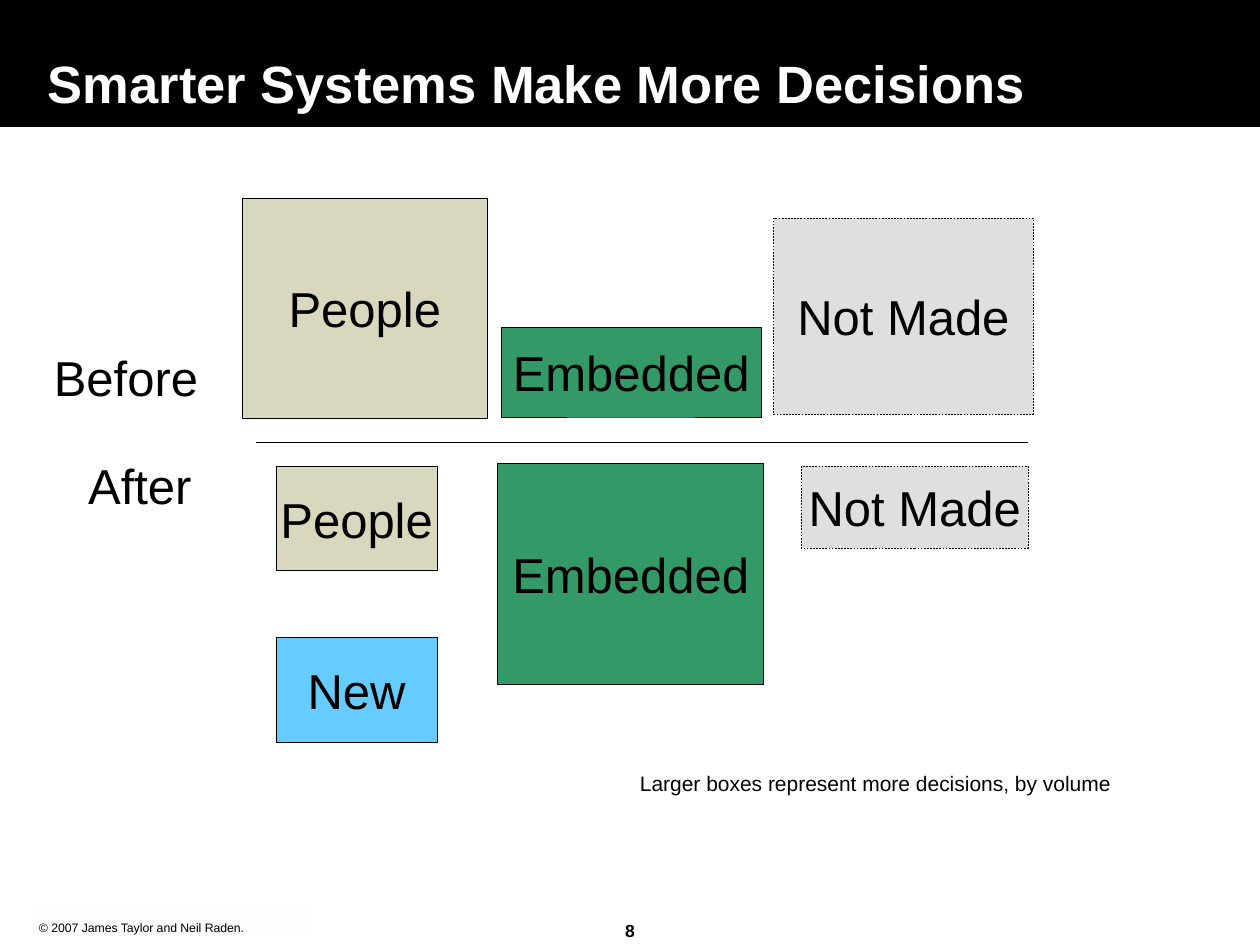
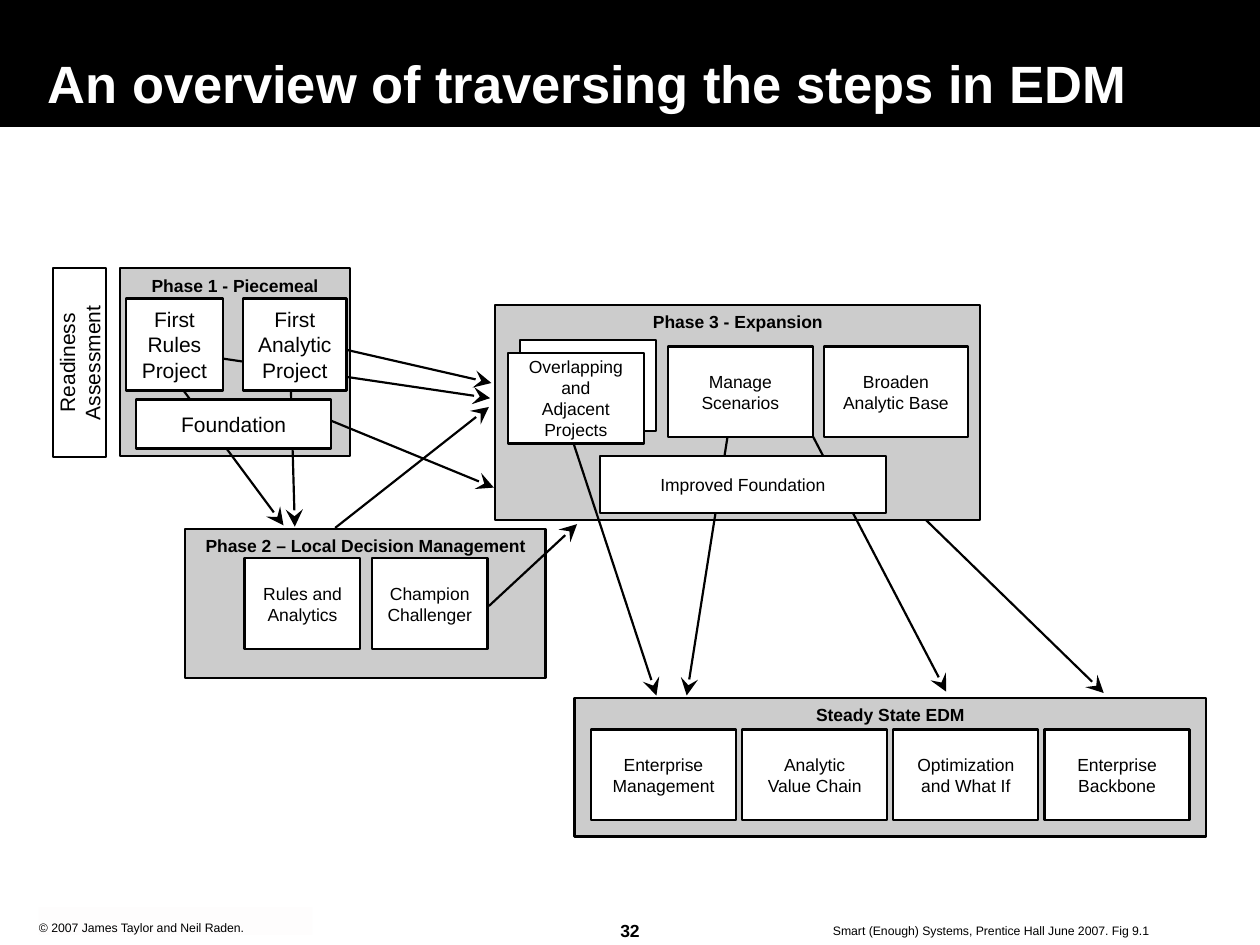
from copy import deepcopy

from lxml.etree import SubElement
from pptx import Presentation
from pptx.dml.color import RGBColor
from pptx.enum.dml import MSO_LINE
from pptx.enum.shapes import MSO_CONNECTOR, MSO_SHAPE
from pptx.enum.text import MSO_ANCHOR, MSO_AUTO_SIZE, PP_ALIGN
from pptx.oxml.ns import qn
from pptx.util import Pt

PX = 9144  # EMU per px, 100 px to the inch
BLACK = RGBColor(0x00, 0x00, 0x00)
WHITE = RGBColor(0xFF, 0xFF, 0xFF)
SAND = RGBColor(0xD9, 0xD8, 0xBE)
GREEN = RGBColor(0x33, 0x99, 0x66)
BLUE = RGBColor(0x66, 0xCC, 0xFF)
SILVER = RGBColor(0xC0, 0xC0, 0xC0)
GRAY = RGBColor(0xCC, 0xCC, 0xCC)
CREAM = RGBColor(0xF7, 0xF5, 0xEF)
HAIRLINE, OUTLINE = 0.25, 1.25


def set_values(target, values):
    for name, value in values.items():
        setattr(target, name, value)


def px(*lengths):
    return [length * PX for length in lengths]


class SlideBuilder:
    """Holds the deck, its style and the page being drawn."""

    font_name = "Arial"

    def __init__(self):
        self.deck = Presentation()
        set_values(self.deck, {"slide_width": 1000 * PX, "slide_height": 750 * PX})
        self.page = None

    def add_page(self, title, number):
        self.page = self.deck.slides.add_slide(self.deck.slide_layouts[5])
        self.box((0, 0, 1000, 100), BLACK, width=0.75)
        heading = self.page.shapes.title
        bounds = zip(("left", "top", "width", "height"), px(33, 0, 925, 95))
        set_values(heading, dict(bounds))
        self.fill_text(heading, title, 30, color=WHITE, bold=True, align=PP_ALIGN.LEFT,
                       anchor=MSO_ANCHOR.BOTTOM, insets=(5, 5), line_spacing=0.8)
        self.page.shapes._spTree.append(heading._element)  # bring above the band
        self.label((461, 730, 78, 31), str(number), 10, bold=True, insets=(0, 0))
        self.box((31, 720, 217, 22), CREAM, "© 2007 James Taylor and Neil Raden.", 7,
                 width=None, opacity=10, align=PP_ALIGN.LEFT,
                 anchor=MSO_ANCHOR.BOTTOM, insets=(0, 0))

    def fill_text(self, shape, text, size, color=BLACK, bold=False,
                  align=PP_ALIGN.CENTER, anchor=MSO_ANCHOR.MIDDLE, insets=(10, 5),
                  wrap=True, line_spacing=1.0):
        across, down = px(*insets)
        frame = shape.text_frame
        set_values(frame, {
            "word_wrap": wrap, "auto_size": MSO_AUTO_SIZE.NONE, "vertical_anchor": anchor,
            "margin_left": across, "margin_right": across,
            "margin_top": down, "margin_bottom": down})
        para = frame.paragraphs[0]
        para.text = text
        set_values(para, {"alignment": align, "line_spacing": line_spacing,
                          "space_before": Pt(0)})
        for span in para.runs:
            set_values(span.font, {"name": self.font_name, "size": Pt(size), "bold": bold})
            span.font.color.rgb = color
        for line_break in para._p.findall(qn("a:br")):
            line_break.append(deepcopy(para.runs[0]._r.rPr))

    def box(self, bounds, fill, text="", size=10, width=OUTLINE, opacity=100,
            dash=None, **style):
        shape = self.page.shapes.add_shape(MSO_SHAPE.RECTANGLE, *px(*bounds))
        shape.shadow.inherit = False
        shape.fill.solid()
        shape.fill.fore_color.rgb = fill
        if opacity < 100:
            color = shape._element.spPr.find(".//" + qn("a:srgbClr"))
            SubElement(color, qn("a:alpha"), val=str(opacity * 1000))
        if width is None:
            shape.line.fill.background()
        else:
            shape.line.color.rgb = BLACK
            set_values(shape.line, {"width": Pt(width), "dash_style": dash})
        if text:
            self.fill_text(shape, text, size, **style)
        return shape

    def label(self, bounds, text, size, **style):
        shape = self.page.shapes.add_textbox(*px(*bounds))
        self.fill_text(shape, text, size, **{"anchor": MSO_ANCHOR.TOP, **style})

    def line(self, ends, width, arrow=False):
        connector = self.page.shapes.add_connector(MSO_CONNECTOR.STRAIGHT, *px(*ends))
        connector.line.color.rgb = BLACK
        connector.line.width = Pt(width)
        if arrow:
            SubElement(connector.line._get_or_add_ln(), qn("a:tailEnd"),
                       type="stealth", w="lg", len="lg")
        SubElement(connector._element.spPr, qn("a:effectLst"))


def draw_decisions(builder):
    builder.add_page("Smarter Systems Make More Decisions", 8)
    builder.line((203, 351, 816, 351), HAIRLINE)
    looks = {
        "People": {"fill": SAND},
        "Embedded": {"fill": GREEN},
        "Not Made": {"fill": SILVER, "opacity": 50, "dash": MSO_LINE.DASH},
        "New": {"fill": BLUE},
    }
    volumes = [
        ("People", (192, 157, 195, 175)),
        ("Not Made", (614, 173, 206, 156)),
        ("Embedded", (398, 260, 206, 71)),
        ("People", (219, 370, 128, 83)),
        ("Embedded", (395, 368, 211, 175)),
        ("Not Made", (636, 370, 180, 65)),
        ("New", (219, 506, 128, 83)),
    ]
    for kind, bounds in volumes:
        builder.box(bounds, text=kind, size=28, width=HAIRLINE, wrap=False, **looks[kind])
    builder.label((33, 271, 134, 57), "Before", 28, wrap=False)
    builder.label((60, 357, 102, 57), "After", 28, wrap=False)
    builder.label((498, 607, 394, 30), "Larger boxes represent more decisions, by volume",
                  12, wrap=False)


def draw_overview(builder):
    builder.add_page("An overview of traversing the steps in EDM", 32)
    builder.label((475, 728, 442, 22),
                  "Smart (Enough) Systems, Prentice Hall June 2007. Fig 9.1",
                  7, align=PP_ALIGN.RIGHT, insets=(5, 5))
    builder.line((693, 372, 876, 550), OUTLINE, arrow=True)  # starts behind Phase 3

    phases = [
        ("Phase 1 - Piecemeal", (95, 213, 183, 149)),
        ("Phase 3 - Expansion", (393, 242, 385, 171)),
        ("Phase 2 – Local Decision Management", (147, 420, 286, 118)),
        ("Steady State EDM", (456, 554, 501, 110)),
    ]
    for name, bounds in phases:
        builder.box(bounds, GRAY, name, bold=True, anchor=MSO_ANCHOR.TOP)

    readiness = builder.box((42, 213, 42, 150), WHITE, "Readiness Assessment", 12,
                            insets=(5, 10))
    readiness.text_frame._txBody.bodyPr.set("vert", "vert270")

    arrows = [
        (388, 481, 458, 416), (633, 323, 751, 549), (448, 330, 521, 552),
        (581, 324, 545, 552), (266, 419, 388, 323), (259, 274, 390, 304),
        (263, 334, 392, 387), (142, 305, 225, 417), (230, 279, 234, 418),
        (166, 283, 389, 316),
    ]
    for ends in arrows:
        builder.line(ends, OUTLINE, arrow=True)

    steps = [
        ("Foundation", (108, 317, 155, 39), 12),
        ("First\nRules\nProject", (100, 237, 77, 73), 12),
        ("First\nAnalytic\nProject", (193, 237, 82, 73), 12),
        ("Rules and\nAnalytics", (194, 443, 92, 72), 10),
        ("Champion\nChallenger", (295, 443, 92, 72), 10),
        ("", (413, 270, 108, 72), 10),
        ("Overlapping and\nAdjacent Projects", (403, 280, 108, 72), 10),
        ("Manage\nScenarios", (530, 275, 115, 72), 10),
        ("Broaden\nAnalytic Base", (654, 275, 114, 72), 10),
        ("Improved Foundation", (476, 362, 227, 45), 10),
    ]
    steady_steps = ["Enterprise\nManagement", "Analytic\nValue Chain",
                    "Optimization\nand What If", "Enterprise\nBackbone"]
    steps += [(name, (469 + 120 * column, 579, 115, 72), 10)
              for column, name in enumerate(steady_steps)]
    for name, bounds, size in steps:
        builder.box(bounds, WHITE, name, size)


def main():
    builder = SlideBuilder()
    draw_decisions(builder)
    draw_overview(builder)
    builder.deck.save("out.pptx")


if __name__ == "__main__":
    main()
